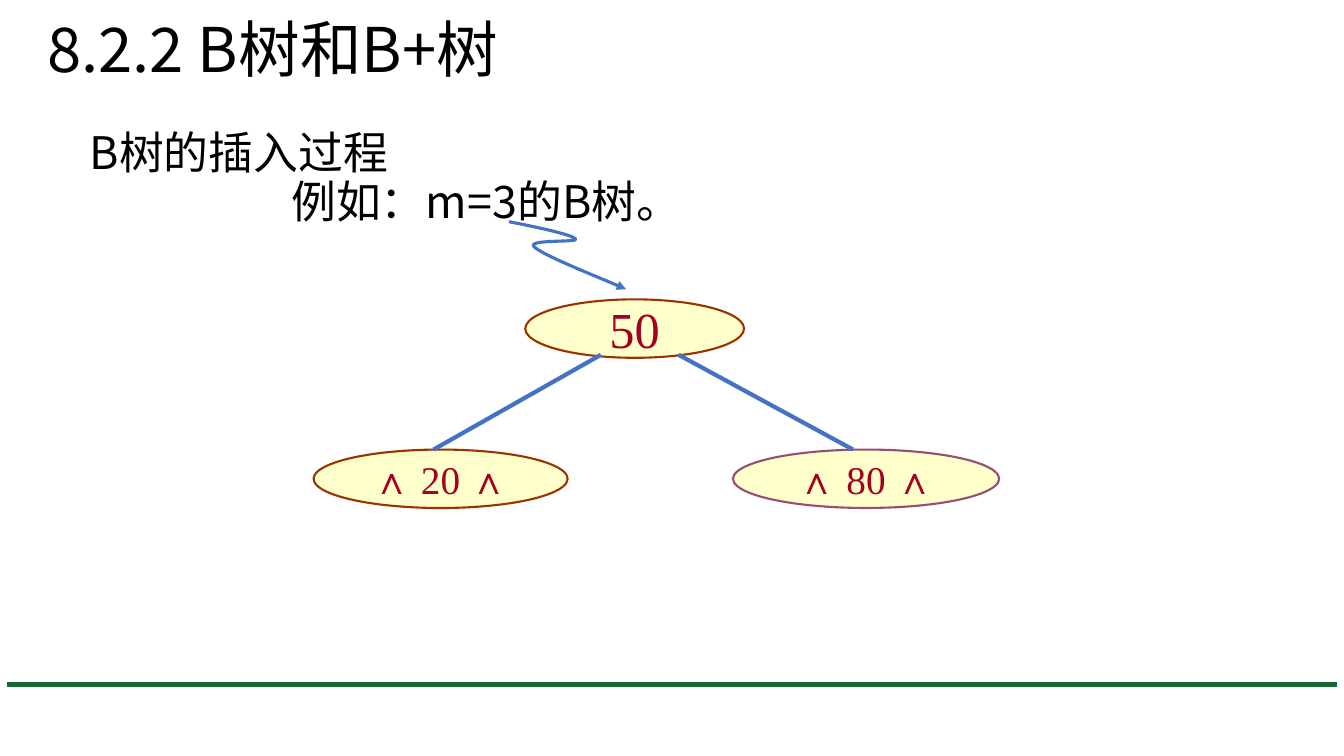
from lxml.etree import SubElement
from pptx import Presentation
from pptx.dml.color import RGBColor
from pptx.enum.shapes import MSO_CONNECTOR, MSO_SHAPE
from pptx.enum.text import MSO_ANCHOR, PP_ALIGN
from pptx.oxml.ns import qn
from pptx.util import Inches, Pt

COLORS = {
    "rule": "166936", "node": "FFFFCC", "brown": "993300", "plum": "954F72",
    "key": "A50021", "link": "4472C4", "text": "000000",
}
SANS, SERIF = "Noto Sans CJK SC", "Times New Roman"

TEXTS = [
    {"at": (0.37, -0.2, 11.5, 1.45), "size": 44, "anchor": MSO_ANCHOR.MIDDLE,
     "lines": [("8.2.2 B树和B+树", 0)]},
    {"at": (0.79, 1.25, 11.5, 4.76), "size": 32, "anchor": MSO_ANCHOR.TOP,
     "lines": [("B树的插入过程", 0), ("例如：m=3的B树。", 2)]},
]
LINE_SPACING = 0.9
NODE_HEIGHT = 0.58
NODES = [
    ("50", 5.21, 2.97, 2.17, 36, "brown"),
    ("∧ 20 ∧", 3.11, 4.46, 2.52, 28, "brown"),
    ("∧ 80 ∧", 7.27, 4.46, 2.64, 28, "plum"),
]
LINES = [
    ((0.07, 6.79), (13.26, 6.79), "rule", 3.75),
    ((5.96, 3.52), (4.3, 4.46), "link", 3),
    ((6.73, 3.52), (8.46, 4.46), "link", 3),
]
ARROW_START = (5.05, 2.2)
ARROW_CURVES = [
    [(5.36, 2.26), (5.67, 2.33), (5.71, 2.37)],
    [(5.76, 2.41), (5.21, 2.37), (5.3, 2.45)],
    [(5.38, 2.53), (6.06, 2.8), (6.21, 2.87)],
]


def color(name):
    return RGBColor.from_string(COLORS[name])


def lengths(values):
    return [Inches(value) for value in values]


def set_line(shape, name, width):
    shape.line.color.rgb = color(name)
    shape.line.width = Pt(width)


def add_span(para, text, size, font, name):
    span = para.add_run()
    span.text = text
    span.font.size = Pt(size)
    span.font.name = font
    span.font.color.rgb = color(name)
    SubElement(span.font._element, qn("a:ea")).set("typeface", font)


def add_line(page, start, end, name, width):
    line = page.shapes.add_connector(MSO_CONNECTOR.STRAIGHT, *lengths(start + end))
    set_line(line, name, width)
    SubElement(line._element.spPr, qn("a:effectLst"))


def add_node(page, text, left, top, width, size, border):
    node = page.shapes.add_shape(MSO_SHAPE.OVAL, *lengths((left, top, width, NODE_HEIGHT)))
    node.shadow.inherit = False
    node.fill.solid()
    node.fill.fore_color.rgb = color("node")
    set_line(node, border, 1.5)
    frame = node.text_frame
    frame.word_wrap = False
    frame.vertical_anchor = MSO_ANCHOR.MIDDLE
    para = frame.paragraphs[0]
    para.alignment = PP_ALIGN.CENTER
    add_span(para, text, size, SERIF, "key")


def add_arrow(page):
    points = [lengths(point) for curve in ARROW_CURVES for point in curve]
    builder = page.shapes.build_freeform(*lengths(ARROW_START))
    builder.add_line_segments(points, close=False)
    arrow = builder.convert_to_shape()
    arrow.shadow.inherit = False
    arrow.fill.background()
    set_line(arrow, "link", 2.25)
    outline = arrow._element.spPr.find(".//" + qn("a:path"))
    segments = outline.findall(qn("a:lnTo"))
    for first in range(0, len(segments), 3):
        curve = SubElement(outline, qn("a:cubicBezTo"))
        for segment in segments[first:first + 3]:
            curve.append(segment[0])
            outline.remove(segment)
    SubElement(arrow.line._get_or_add_ln(), qn("a:tailEnd")).set("type", "triangle")


def add_text(page, at, size, anchor, lines):
    box = page.shapes.add_textbox(*lengths(at))
    frame = box.text_frame
    frame.word_wrap = True
    frame.vertical_anchor = anchor
    for index, (text, indent) in enumerate(lines):
        para = frame.add_paragraph() if index else frame.paragraphs[0]
        para.line_spacing = LINE_SPACING
        if indent:
            para._p.get_or_add_pPr().set("marL", str(Inches(indent)))
        add_span(para, text, size, SANS, "text")


def main():
    deck = Presentation()
    deck.slide_width, deck.slide_height = lengths((13.33, 7.5))
    page = deck.slides.add_slide(deck.slide_layouts[6])
    for node in NODES:
        add_node(page, *node)
    add_arrow(page)
    for line in LINES:
        add_line(page, *line)
    for text in TEXTS:
        add_text(page, **text)
    deck.save("out.pptx")


if __name__ == "__main__":
    main()
